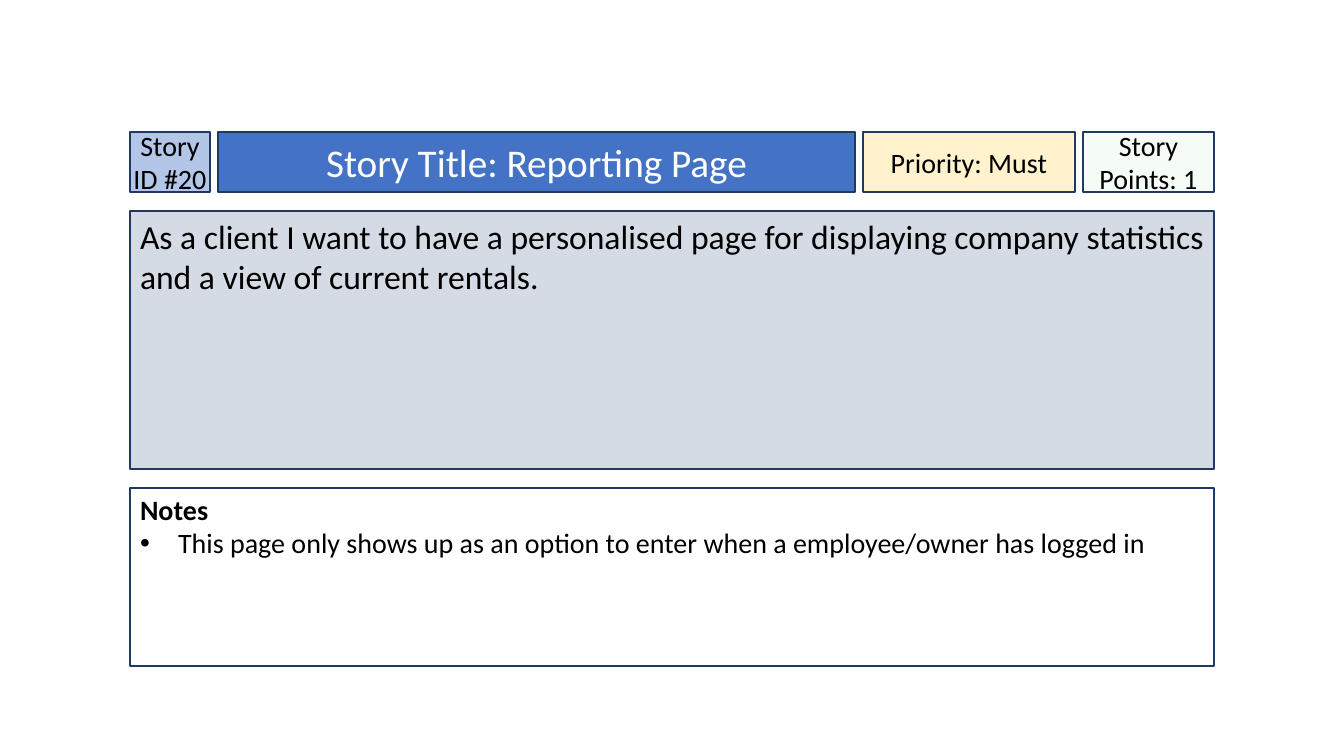
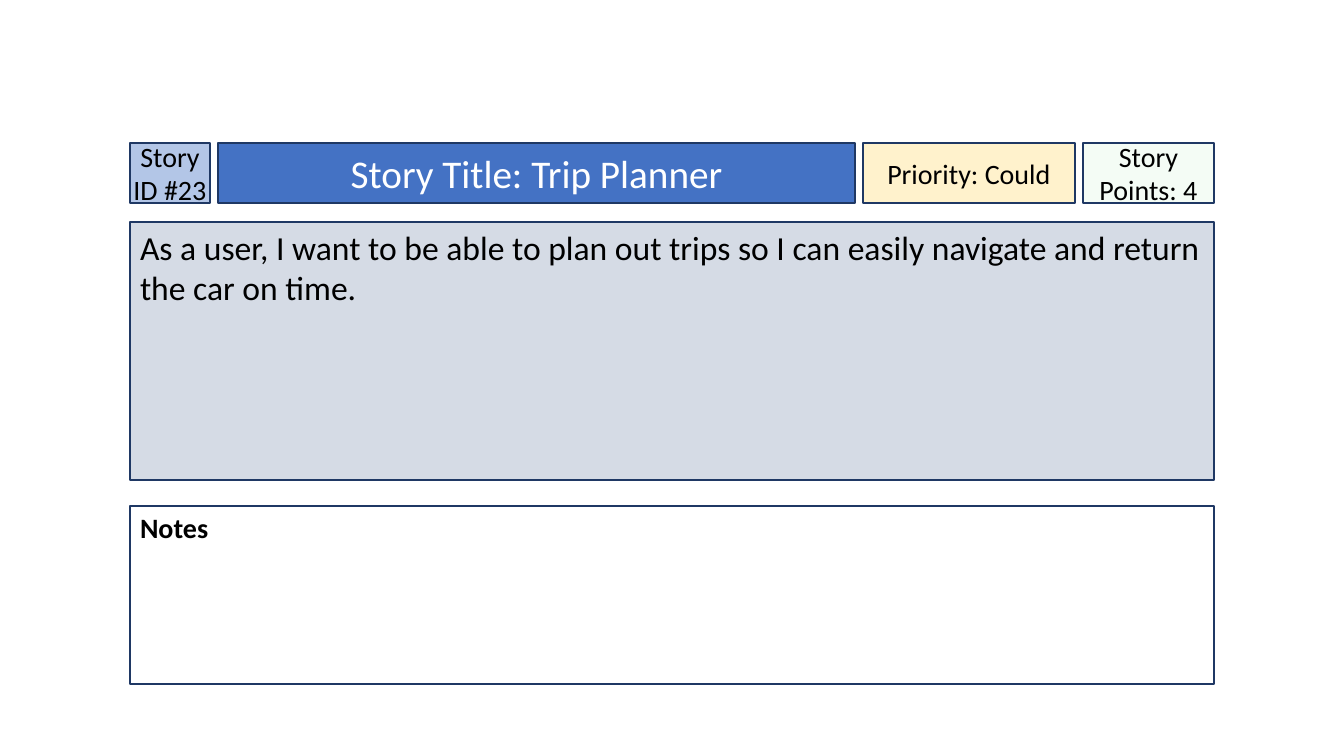
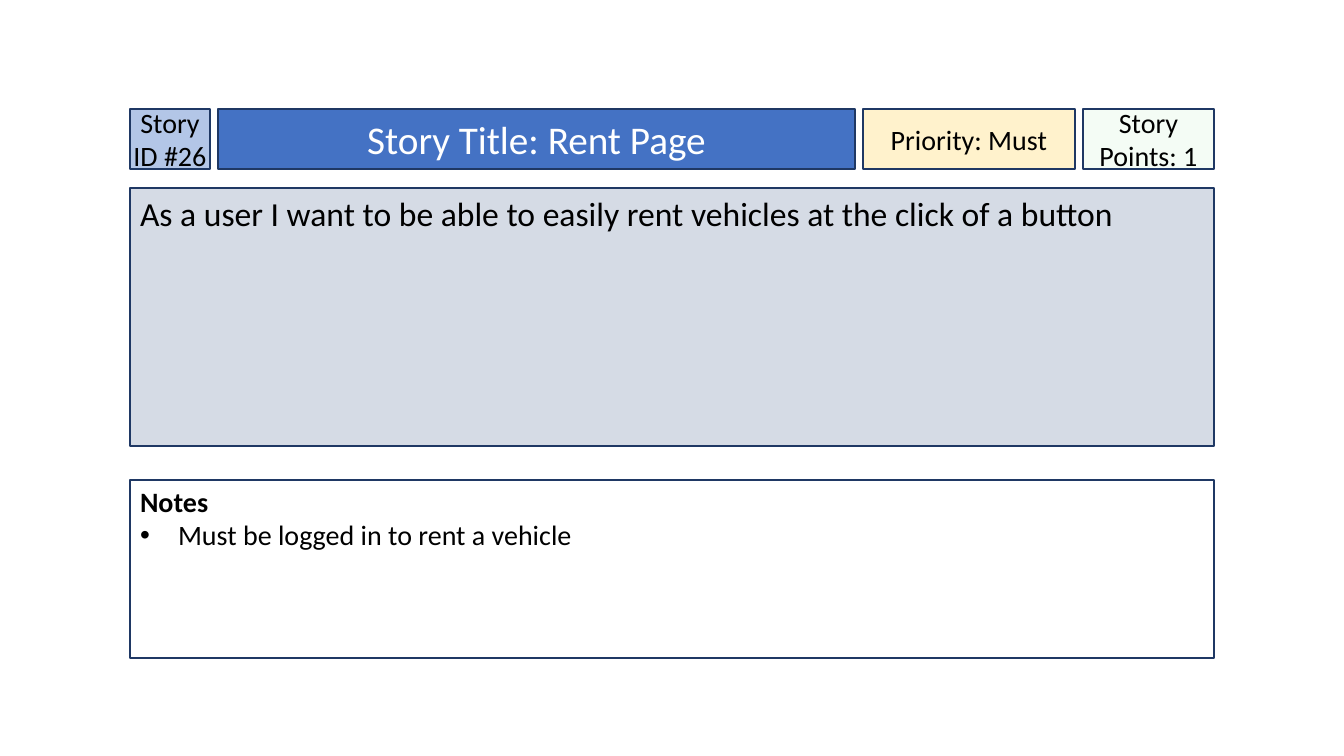
from dataclasses import dataclass
from typing import Optional

from lxml.etree import SubElement
from pptx import Presentation
from pptx.dml.color import RGBColor
from pptx.enum.shapes import MSO_SHAPE
from pptx.enum.text import MSO_ANCHOR, PP_ALIGN
from pptx.oxml.ns import qn
from pptx.util import Emu, Pt

SCALE = 914400 / 100.8
FONT = "Calibri"
COLORS = {
    "outline": "1F3864",
    "id": "B3C6E7",
    "title": "4472C4",
    "priority": "FFF2CC",
    "points": "CCF0CD",
    "story": "D5DBE5",
    "white": "FFFFFF",
    "black": "000000",
}
LEFT = 130
GAP = 8
HEADER_HEIGHT = 60
STORY_OFFSET = 79
STORY_HEIGHT = 258
REMARKS_HEIGHT = 178
BULLET_INDENT = 38


@dataclass(frozen=True)
class HeaderCell:
    name: str
    width: int
    size: int = 20
    color: str = "black"
    side_inset: int = 0
    opacity: Optional[int] = None


@dataclass(frozen=True)
class StoryCard:
    number: int
    title: str
    priority: str
    points: int
    story: str
    top: int
    remarks_top: int
    remark: Optional[str] = None


HEADER = [
    HeaderCell("id", 80),
    HeaderCell("title", 637, size=28, color="white", side_inset=10),
    HeaderCell("priority", 212),
    HeaderCell("points", 131, opacity=20),
]
CARD_WIDTH = sum(cell.width for cell in HEADER) + GAP * (len(HEADER) - 1)

CARDS = [
    StoryCard(
        20, "Reporting Page", "Must", 1,
        "As a client I want to have a personalised page for displaying company "
        "statistics and a view of current rentals.",
        top=132, remarks_top=488,
        remark="This page only shows up as an option to enter when a employee/owner has logged in",
    ),
    StoryCard(
        23, "Trip Planner", "Could", 4,
        "As a user, I want to be able to plan out trips so I can easily navigate "
        "and return the car on time.",
        top=143, remarks_top=506,
    ),
    StoryCard(
        26, "Rent Page", "Must", 1,
        "As a user I want to be able to easily rent vehicles at the click of a button",
        top=109, remarks_top=480,
        remark="Must be logged in to rent a vehicle",
    ),
]


def px(length: float) -> Emu:
    return Emu(round(length * SCALE))


def rgb(name: str) -> RGBColor:
    return RGBColor.from_string(COLORS[name])


def add_box(page, left: int, top: int, width: int, height: int, fill: str, *,
            anchor=MSO_ANCHOR.TOP, side_inset: int = 10, top_inset: int = 5,
            opacity: Optional[int] = None):
    box = page.shapes.add_shape(
        MSO_SHAPE.RECTANGLE, px(left), px(top), px(width), px(height))
    box.shadow.inherit = False
    box.fill.solid()
    box.fill.fore_color.rgb = rgb(fill)
    if opacity is not None:
        color = box.element.spPr.find(qn("a:solidFill")).find(qn("a:srgbClr"))
        SubElement(color, qn("a:alpha"), val=str(opacity * 1000))
    box.line.color.rgb = rgb("outline")
    box.line.width = Pt(1)
    frame = box.text_frame
    frame.word_wrap = True
    frame.vertical_anchor = anchor
    frame.margin_left = frame.margin_right = px(side_inset)
    frame.margin_top, frame.margin_bottom = px(top_inset), px(5)
    return box


def write(para, text: str, *, size: int = 20, color: str = "black",
          bold: bool = False, align=PP_ALIGN.LEFT) -> None:
    para.alignment = align
    span = para.add_run()
    span.text = text
    span.font.name = FONT
    span.font.size = Pt(size)
    span.font.bold = bold
    span.font.color.rgb = rgb(color)


def add_bullet(para) -> None:
    properties = para._p.get_or_add_pPr()
    properties.set("marL", str(px(BULLET_INDENT)))
    properties.set("indent", str(-px(BULLET_INDENT)))
    bullet_color = SubElement(properties, qn("a:buClr"))
    SubElement(bullet_color, qn("a:srgbClr"), val=COLORS["black"])
    SubElement(properties, qn("a:buFont"), typeface="Arial")
    SubElement(properties, qn("a:buChar"), char="•")


def draw_header(page, card: StoryCard) -> None:
    labels = {
        "id": f"Story ID #{card.number}",
        "title": f"Story Title: {card.title}",
        "priority": f"Priority: {card.priority}",
        "points": f"Story Points: {card.points}",
    }
    left = LEFT
    for cell in HEADER:
        box = add_box(page, left, card.top, cell.width, HEADER_HEIGHT, cell.name,
                      anchor=MSO_ANCHOR.MIDDLE, side_inset=cell.side_inset,
                      opacity=cell.opacity)
        write(box.text_frame.paragraphs[0], labels[cell.name], size=cell.size,
              color=cell.color, align=PP_ALIGN.CENTER)
        left += cell.width + GAP


def draw_story(page, card: StoryCard) -> None:
    box = add_box(page, LEFT, card.top + STORY_OFFSET, CARD_WIDTH, STORY_HEIGHT, "story")
    write(box.text_frame.paragraphs[0], card.story, size=24)


def draw_remarks(page, card: StoryCard) -> None:
    box = add_box(page, LEFT, card.remarks_top, CARD_WIDTH, REMARKS_HEIGHT, "white",
                  top_inset=4)
    write(box.text_frame.paragraphs[0], "Notes", bold=True)
    if card.remark:
        para = box.text_frame.add_paragraph()
        write(para, card.remark)
        add_bullet(para)


def build() -> None:
    deck = Presentation()
    deck.slide_width, deck.slide_height = px(1344), px(756)
    for card in CARDS:
        page = deck.slides.add_slide(deck.slide_layouts[6])
        draw_header(page, card)
        draw_story(page, card)
        draw_remarks(page, card)
    deck.save("out.pptx")


build()
